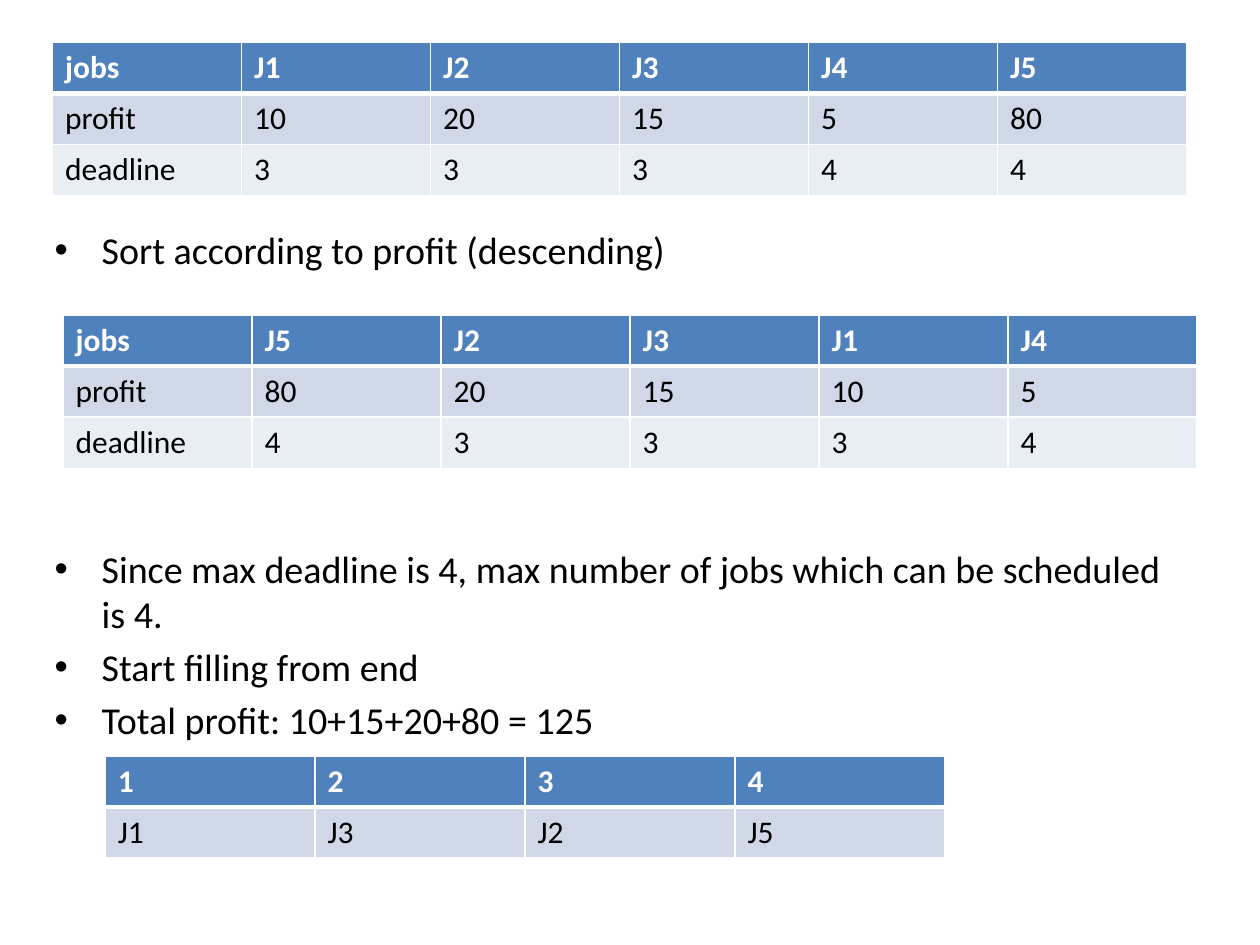
from collections import namedtuple
from dataclasses import dataclass

from lxml.etree import SubElement
from pptx import Presentation
from pptx.dml.color import RGBColor
from pptx.oxml.ns import qn
from pptx.util import Cm, Pt

Box = namedtuple("Box", "left top width height")


@dataclass(frozen=True)
class Theme:
    font: str = "Calibri"
    body_size: float = 21.7
    cell_size: float = 18
    text: str = "000000"
    header_text: str = "FFFFFF"
    header_fill: str = "4F81BD"
    band_fills: tuple = ("D0D8E8", "E9EDF4")
    border: str = "FFFFFF"
    thin: float = 1
    thick: float = 3


THEME = Theme()
ROW_HEIGHT = 1.03
BULLET_INDENT = 0.95
BULLET_GAP = 4.3
TABLE_GAP = 155.8

JOBS = {
    "J1": (10, 3),
    "J2": (20, 3),
    "J3": (15, 3),
    "J4": (5, 4),
    "J5": (80, 4),
}
SCHEDULE = [["1", "2", "3", "4"], ["J1", "J3", "J2", "J5"]]
STEPS = [
    ("Sort according to profit (descending)", BULLET_GAP),
    ("Since max deadline is 4, max number of jobs which can be scheduled is 4.", TABLE_GAP),
    ("Start filling from end", BULLET_GAP),
    ("Total profit: 10+15+20+80 = 125", BULLET_GAP),
]


def job_rows(names):
    profits, deadlines = zip(*(JOBS[name] for name in names))
    return [["jobs", *names], ["profit", *profits], ["deadline", *deadlines]]


def add_run(paragraph, wording, size, color, bold=False):
    run = paragraph.add_run()
    run.text = str(wording)
    run.font.name = THEME.font
    run.font.size = Pt(size)
    run.font.bold = bold
    run.font.color.rgb = RGBColor.from_string(color)


def add_borders(cell, top, bottom):
    properties = cell._tc.get_or_add_tcPr()
    widths = {"L": THEME.thin, "R": THEME.thin, "T": top, "B": bottom}
    for side, width in widths.items():
        line = SubElement(properties, qn(f"a:ln{side}"), w=str(Pt(width)))
        fill = SubElement(line, qn("a:solidFill"))
        SubElement(fill, qn("a:srgbClr"), val=THEME.border)


def add_grid(slide, box, rows):
    grid = slide.shapes.add_table(
        len(rows), len(rows[0]), *(Cm(length) for length in box)
    ).table
    grid.horz_banding = False
    for column in grid.columns:
        column.width = Cm(box.width / len(rows[0]))
    fills = (THEME.header_fill, *THEME.band_fills)
    for r, values in enumerate(rows):
        grid.rows[r].height = Cm(box.height / len(rows))
        is_header = r == 0
        color = THEME.header_text if is_header else THEME.text
        for c, value in enumerate(values):
            cell = grid.cell(r, c)
            add_borders(
                cell,
                top=THEME.thick if r == 1 else THEME.thin,
                bottom=THEME.thick if is_header else THEME.thin,
            )
            cell.fill.solid()
            cell.fill.fore_color.rgb = RGBColor.from_string(fills[r])
            add_run(cell.text_frame.paragraphs[0], value, THEME.cell_size, color, is_header)


def add_steps(slide, box, steps):
    frame = slide.shapes.add_textbox(*(Cm(length) for length in box)).text_frame
    frame.word_wrap = True
    for number, (wording, gap) in enumerate(steps):
        paragraph = frame.add_paragraph() if number else frame.paragraphs[0]
        paragraph.space_before = Pt(gap)
        properties = paragraph._p.get_or_add_pPr()
        properties.set("marL", str(Cm(BULLET_INDENT)))
        properties.set("indent", str(-Cm(BULLET_INDENT)))
        SubElement(properties, qn("a:buFont"), typeface="Arial")
        SubElement(properties, qn("a:buChar"), char="•")
        add_run(paragraph, wording, THEME.body_size, THEME.text)


def main():
    presentation = Presentation()
    presentation.slide_width = Cm(25.4)
    presentation.slide_height = Cm(19.05)
    slide = presentation.slides.add_slide(presentation.slide_layouts[6])

    by_profit = sorted(JOBS, key=lambda name: JOBS[name][0], reverse=True)
    add_steps(slide, Box(0.85, 4.45, 22.86, 9.73), STEPS)
    add_grid(slide, Box(1.06, 0.85, 22.86, 3 * ROW_HEIGHT), job_rows(list(JOBS)))
    add_grid(slide, Box(1.27, 6.35, 22.86, 3 * ROW_HEIGHT), job_rows(by_profit))
    add_grid(slide, Box(2.12, 15.24, 16.93, 2 * ROW_HEIGHT), SCHEDULE)

    presentation.save("out.pptx")


if __name__ == "__main__":
    main()
